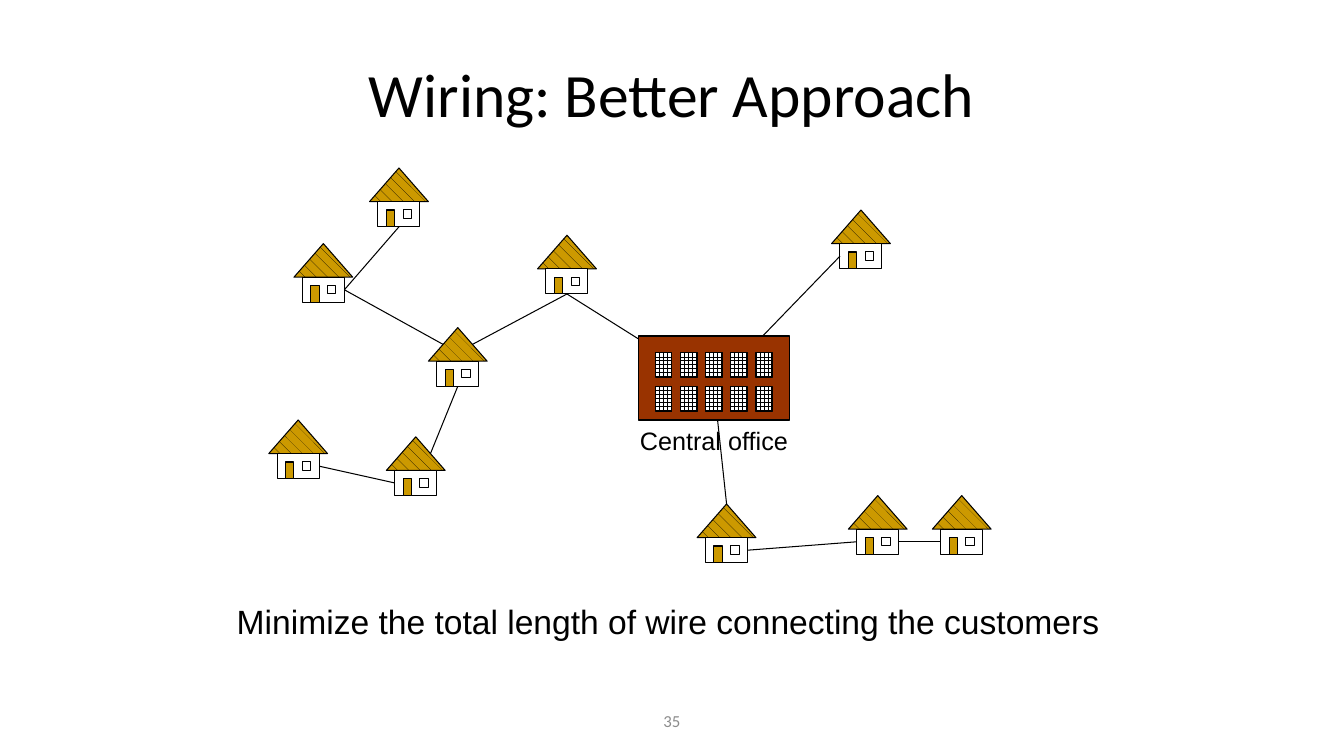
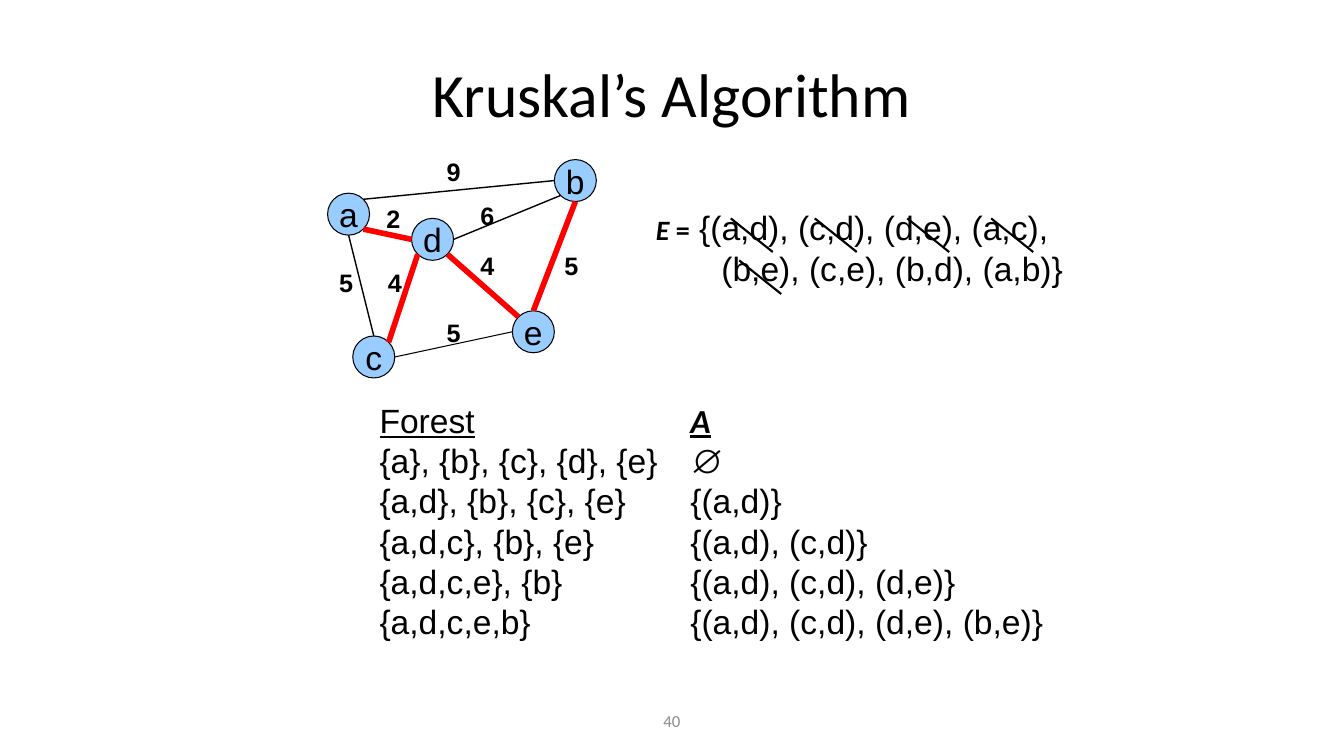
import pptx
import pptx.util
import pptx.dml.color
import pptx.enum.dml
import pptx.enum.shapes
import pptx.enum.text
import pptx.oxml.ns
import lxml.etree

# Shared grid (160 columns by 90 rows), colours and fonts
COLS, ROWS = 160, 90
CELL = pptx.util.Inches(1) // 12
BLACK, WHITE, GREY, RED = "000000", "FFFFFF", "8C8C8C", "FF0000"
GOLD, BRICK, SKY = "CC9900", "993300", "99CCFF"
HEAD_FONT, BODY_FONT = "Calibri", "Arial"

SHAPE = pptx.enum.shapes.MSO_SHAPE
PATTERN = pptx.enum.dml.MSO_PATTERN
ALIGN = pptx.enum.text.PP_ALIGN
ANCHOR = pptx.enum.text.MSO_ANCHOR


def grid(n):
    return pptx.util.Emu(round(n * CELL))


def color(hex_string):
    return pptx.dml.color.RGBColor.from_string(hex_string)


def add_run(p, text, size=24, font=BODY_FONT, fill=BLACK,
            bold=False, italic=False, underline=False):
    r = p.add_run()
    r.text = text
    r.font.size = pptx.util.Pt(size)
    r.font.name = font
    r.font.color.rgb = color(fill)
    r.font.bold, r.font.italic, r.font.underline = bold, italic, underline


def add_text(s, x, y, w, h, lines, wrap=True, anchor=ANCHOR.TOP,
             align=ALIGN.LEFT, leading=None):
    """Each line is a list of runs, a run being (text, style)."""
    sp = s.shapes.add_textbox(grid(x), grid(y), grid(w), grid(h))
    tf = sp.text_frame
    tf.word_wrap = wrap
    tf.vertical_anchor = anchor
    for i, runs in enumerate(lines):
        p = tf.paragraphs[0] if i == 0 else tf.add_paragraph()
        p.alignment = align
        if leading:
            p.line_spacing = pptx.util.Pt(leading)
        for text, style in runs:
            add_run(p, text, **style)
    return sp


def add_box(shapes, kind, x, y, w, h, fill=None, pattern=None):
    sp = shapes.add_shape(kind, grid(x), grid(y), grid(w), grid(h))
    sp.shadow.inherit = False
    if pattern:
        sp.fill.patterned()
        sp.fill.pattern = pattern
        sp.fill.fore_color.rgb = color(BLACK)
        sp.fill.back_color.rgb = color(fill)
    elif fill:
        sp.fill.solid()
        sp.fill.fore_color.rgb = color(fill)
    else:
        sp.fill.background()
    sp.line.color.rgb = color(BLACK)
    sp.line.width = pptx.util.Pt(0.75)
    return sp


def add_line(s, start, end, width=0.75, stroke=BLACK):
    ends = [grid(n) for n in (*start, *end)]
    line = s.shapes.add_connector(pptx.enum.shapes.MSO_CONNECTOR.STRAIGHT, *ends)
    line.line.color.rgb = color(stroke)
    line.line.width = pptx.util.Pt(width)
    lxml.etree.SubElement(line._element.spPr, pptx.oxml.ns.qn("a:effectLst"))


def add_slide(prs, title, number):
    """Blank slide with the shared title and page number."""
    s = prs.slides.add_slide(prs.slide_layouts[6])
    for box, text, size, fill in (
            ((8, 3.6, 144, 15), title, 44, BLACK),
            ((54.7, 83.4, 50.6, 4.8), number, 12, GREY)):
        style = dict(size=size, font=HEAD_FONT, fill=fill)
        add_text(s, *box, [[(text, style)]], anchor=ANCHOR.MIDDLE,
                 align=ALIGN.CENTER)
    return s


# Slide 1: houses wired to the central office
HOUSES = {
    "west": (32, 50), "south": (83, 60), "north": (64, 28),
    "northeast": (99, 25), "middle": (51, 39), "northwest": (35, 29),
    "top": (44, 20), "southwest": (46, 52), "far east": (111, 59),
    "east": (101, 59),
}
# Points on a house where a wire may end
HOUSE_PORTS = {
    "roof top": (3.5, 0), "roof left": (1.75, 2), "roof right": (5.25, 2),
    "wall left": (1, 5.5), "wall right": (6, 5.5), "wall bottom": (3.5, 7),
}
OFFICE = (76, 40)
OFFICE_WIRES = [("northeast", "wall left"), ("south", "roof top"),
                ("north", "wall bottom")]
HOUSE_WIRES = [
    ("north", "wall bottom", "middle", "roof right"),
    ("middle", "roof left", "northwest", "wall right"),
    ("northwest", "wall right", "top", "wall bottom"),
    ("middle", "wall bottom", "southwest", "roof right"),
    ("southwest", "wall left", "west", "wall right"),
    ("south", "wall right", "east", "wall left"),
    ("east", "wall right", "far east", "wall left"),
]


def house(s, x, y):
    parts = s.shapes.add_group_shape().shapes
    add_box(parts, SHAPE.ISOSCELES_TRIANGLE, x, y, 7, 4, GOLD, PATTERN.SHINGLE)
    add_box(parts, SHAPE.RECTANGLE, x + 1, y + 4, 5, 3, WHITE)
    add_box(parts, SHAPE.RECTANGLE, x + 2, y + 5, 1, 2, GOLD)
    add_box(parts, SHAPE.RECTANGLE, x + 4, y + 5, 1, 1)


def office(s, x, y):
    parts = s.shapes.add_group_shape().shapes
    add_box(parts, SHAPE.RECTANGLE, x, y, 18, 10, BRICK)
    for row in range(2):
        for col in range(5):
            add_box(parts, SHAPE.RECTANGLE, x + 2 + 3 * col, y + 2 + 4 * row,
                    2, 3, WHITE, PATTERN.LARGE_GRID)


def house_port(name, port):
    (x, y), (dx, dy) = HOUSES[name], HOUSE_PORTS[port]
    return x + dx, y + dy


def wiring_slide(prs):
    s = add_slide(prs, "Wiring: Better Approach", "35")
    for spot in HOUSES.values():
        house(s, *spot)
    x, y = OFFICE
    add_text(s, x - 1, y + 10, 20, 4.8, [[("Central office", dict(size=18))]],
             wrap=False, leading=21.6)
    # Wires run beneath the office
    for name, port in OFFICE_WIRES:
        add_line(s, (x + 9, y + 6), house_port(name, port))
    for name, port, other, other_port in HOUSE_WIRES:
        add_line(s, house_port(name, port), house_port(other, other_port))
    office(s, x, y)
    caption = "Minimize the total length of wire connecting the customers"
    add_text(s, 27, 71, 105.6, 6, [[(caption, {})]], leading=28.8)


# Slide 2: weighted graph and the steps of the algorithm
NODE = 5
NODES = {"a": (39, 23), "c": (42, 40), "e": (61, 37), "d": (49, 26), "b": (66, 19)}
DIAG = 0.71
COMPASS = {
    "N": (0, -1), "S": (0, 1), "W": (-1, 0), "E": (1, 0),
    "NE": (DIAG, -DIAG), "NW": (-DIAG, -DIAG),
    "SE": (DIAG, DIAG), "SW": (-DIAG, DIAG),
}
# Two node ports, line width, colour, weight and its place
EDGES = [
    ("a", "NE", "b", "W", 1, BLACK, "9", (52, 18)),
    ("d", "E", "b", "SW", 1, BLACK, "6", (56, 23.2)),
    ("a", "S", "c", "N", 1, BLACK, "5", (39.2, 31.2)),
    ("a", "SE", "d", "W", 4, RED, "2", (44.8, 23.6)),
    ("c", "NE", "d", "SW", 4, RED, "4", (45, 31.2)),
    ("d", "SE", "e", "NW", 4, RED, "4", (56, 29.2)),
    ("b", "S", "e", "N", 4, RED, "5", (66, 29.2)),
    ("e", "W", "c", "E", 0.75, BLACK, "5", (52, 37.2)),
]
STRIKES = [(87, 26), (97, 26), (108, 26), (118, 26), (88, 31)]
FOREST = ["{a}, {b}, {c}, {d}, {e}", "{a,d}, {b}, {c}, {e}",
          "{a,d,c}, {b}, {e}", "{a,d,c,e}, {b}", "{a,d,c,e,b}"]
CHOSEN = ["∅", "{(a,d)}", "{(a,d), (c,d)}", "{(a,d), (c,d), (d,e)}",
          "{(a,d), (c,d), (d,e), (b,e)}"]


def node_port(name, direction):
    (x, y), (dx, dy) = NODES[name], COMPASS[direction]
    return x + NODE / 2 * (1 + dx), y + NODE / 2 * (1 + dy)


def graph(s):
    for name, spot in NODES.items():
        sp = add_box(s.shapes, SHAPE.OVAL, *spot, NODE, NODE, SKY)
        tf = sp.text_frame
        tf.word_wrap = False
        tf.vertical_anchor = ANCHOR.MIDDLE
        p = tf.paragraphs[0]
        p.alignment = ALIGN.CENTER
        p.line_spacing = pptx.util.Pt(28.8)
        add_run(p, name)
    for name, port, other, other_port, width, stroke, weight, spot in EDGES:
        add_line(s, node_port(name, port), node_port(other, other_port),
                 width, stroke)
        add_text(s, *spot, 4, 4.8, [[(weight, dict(size=18, bold=True))]],
                 wrap=False, leading=21.6)


def edge_list(s, x, y):
    label = dict(size=20, font=HEAD_FONT, bold=True)
    sp = add_text(s, x, y, 54, 10.9, [
        [("E ", dict(label, italic=True)), ("=", label),
         (" {(a,d), (c,d), (d,e), (a,c),", {})],
        [("(b,e), (c,e), (b,d), (a,b)}", {})],
    ], anchor=ANCHOR.MIDDLE, leading=28.8)
    # Second line is indented under the first pair
    indent = sp.text_frame.paragraphs[1]._p.get_or_add_pPr()
    indent.set("marL", str(pptx.util.Inches(0.65)))
    for left, top in STRIKES:
        add_line(s, (left, top), (left + 5, top + 4), 1.5)


def step_column(s, x, y, w, heading, style, steps):
    lines = [[(heading, dict(style, underline=True))]]
    lines += [[(step, {})] for step in steps]
    add_text(s, x, y, w, 30.2, lines, wrap=False, leading=28.8)


def kruskal_slide(prs):
    s = add_slide(prs, "Kruskal’s Algorithm", "40")
    graph(s)
    edge_list(s, 76.9, 24)
    step_column(s, 44, 47, 35.9, "Forest", {}, FOREST)
    step_column(s, 81, 47, 44.8, "A",
                dict(font=HEAD_FONT, bold=True, italic=True), CHOSEN)


def main():
    prs = pptx.Presentation()
    prs.slide_width, prs.slide_height = grid(COLS), grid(ROWS)
    wiring_slide(prs)
    kruskal_slide(prs)
    prs.save("out.pptx")


if __name__ == "__main__":
    main()
